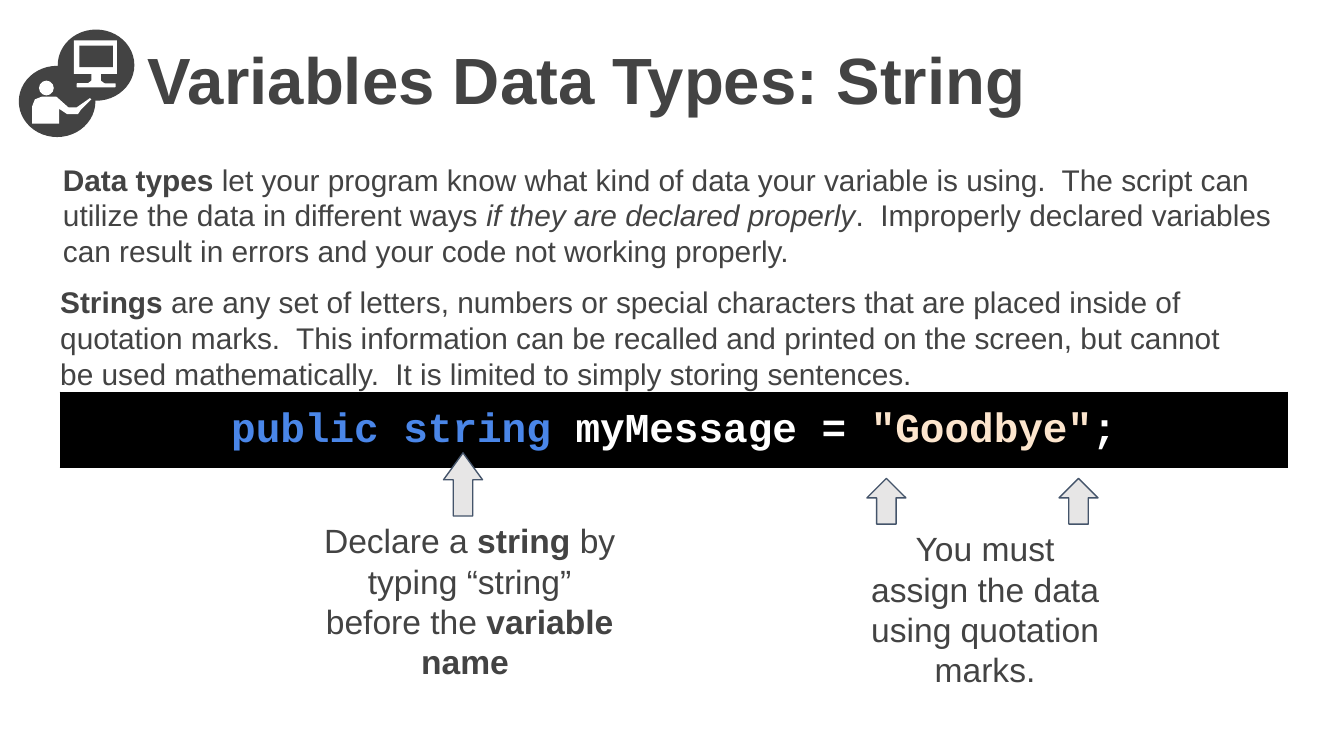
from dataclasses import dataclass

from lxml.etree import SubElement
from pptx import Presentation
from pptx.dml.color import RGBColor
from pptx.enum.shapes import MSO_SHAPE as Shape
from pptx.enum.text import MSO_ANCHOR as Anchor, PP_ALIGN as Align
from pptx.oxml.ns import qn
from pptx.util import Inches, Pt


@dataclass(frozen=True)
class Theme:
    ink: str = "434343"
    white: str = "FFFFFF"
    code_back: str = "000000"
    keyword: str = "4A86E8"
    literal: str = "FCE5CD"
    arrow_fill: str = "E7E6E6"
    arrow_line: str = "44546A"
    font: str = "Arial"
    code_font: str = "Courier New"
    title_size: int = 35
    body_size: int = 16
    code_size: int = 22
    callout_size: int = 18
    code_spacing: float = 1.15


THEME = Theme()
INSET = 0.1


def color(value):
    return RGBColor.from_string(value)


def place(box):
    return [Inches(length) for length in box]


def set_insets(owner, inset):
    owner.margin_left = owner.margin_right = Inches(inset)
    owner.margin_top = owner.margin_bottom = Inches(inset)


def write_runs(paragraph, parts, size, font=THEME.font):
    """Add (text, colour, bold, italic) parts as runs of one paragraph."""
    for text, ink, bold, italic in parts:
        run = paragraph.add_run()
        run.text = text
        run.font.name = font
        run.font.size = Pt(size)
        run.font.color.rgb = color(ink)
        run.font.bold = bold
        run.font.italic = italic


def plain(text):
    return text, THEME.ink, False, False


def bold(text):
    return text, THEME.ink, True, False


def italic(text):
    return text, THEME.ink, False, True


def paint(shape, fill, line=None):
    shape.shadow.inherit = False
    shape.fill.solid()
    shape.fill.fore_color.rgb = color(fill)
    if line:
        shape.line.color.rgb = color(line)
        shape.line.width = Pt(0.75)
    else:
        shape.line.fill.background()


def add_title(slide, box, text):
    title = slide.shapes.title
    title.left, title.top, title.width, title.height = place(box)
    frame = title.text_frame
    set_insets(frame, INSET)
    frame.vertical_anchor = Anchor.TOP
    frame.paragraphs[0].alignment = Align.LEFT
    write_runs(frame.paragraphs[0], [bold(text)], THEME.title_size)


def add_text(slide, box, parts, size, align=Align.LEFT):
    frame = slide.shapes.add_textbox(*place(box)).text_frame
    frame.word_wrap = True
    set_insets(frame, INSET)
    paragraph = frame.paragraphs[0]
    paragraph.alignment = align
    write_runs(paragraph, parts, size)


def add_teacher_icon(slide, left, top):
    """Two overlapping discs: a monitor above, a teacher with a pointer below."""
    def part(kind, x, y, width, height, fill=THEME.white):
        paint(slide.shapes.add_shape(kind, *place((left + x, top + y, width, height))), fill)

    def outline(points):
        corners = [(Inches(left + x), Inches(top + y)) for x, y in points]
        builder = slide.shapes.build_freeform(*corners[0])
        builder.add_line_segments(corners[1:], close=True)
        paint(builder.convert_to_shape(), THEME.white)

    for x, y in ((0.29, 0), (0, 0.27)):
        part(Shape.OVAL, x, y, 0.57, 0.53, THEME.ink)
    part(Shape.RECTANGLE, 0.41, 0.08, 0.32, 0.25)
    part(Shape.RECTANGLE, 0.45, 0.12, 0.25, 0.16, THEME.ink)
    outline([(0.54, 0.33), (0.61, 0.33), (0.61, 0.38), (0.65, 0.41), (0.50, 0.41), (0.54, 0.38)])
    part(Shape.ROUNDED_RECTANGLE, 0.43, 0.40, 0.29, 0.03)
    part(Shape.OVAL, 0.15, 0.38, 0.11, 0.11)
    outline([(0.10, 0.70), (0.10, 0.57), (0.12, 0.52), (0.17, 0.50), (0.28, 0.50),
             (0.37, 0.58), (0.43, 0.58), (0.53, 0.51), (0.54, 0.52), (0.46, 0.60),
             (0.44, 0.63), (0.36, 0.63), (0.30, 0.59), (0.30, 0.70)])


def add_code_bar(slide, box, parts):
    table_frame = slide.shapes.add_table(1, 1, *place(box))
    cell = table_frame.table.cell(0, 0)
    set_insets(cell, 0.07)
    properties = cell._tc.get_or_add_tcPr()
    for side in ("a:lnL", "a:lnR", "a:lnT", "a:lnB"):
        border = SubElement(properties, qn(side), w=str(Pt(1)))
        SubElement(SubElement(border, qn("a:solidFill")), qn("a:srgbClr"), val=THEME.code_back)
    cell.fill.solid()
    cell.fill.fore_color.rgb = color(THEME.code_back)
    paragraph = cell.text_frame.paragraphs[0]
    paragraph.alignment = Align.CENTER
    paragraph.line_spacing = THEME.code_spacing
    write_runs(paragraph, parts, THEME.code_size, THEME.code_font)


def add_callout(slide, box, parts, arrows, arrow_top, arrow_height, head):
    """Centred note with up arrows at the given offsets from its left edge."""
    for offset in arrows:
        arrow_box = (box[0] + offset, arrow_top, 0.29, arrow_height)
        arrow = slide.shapes.add_shape(Shape.UP_ARROW, *place(arrow_box))
        arrow.adjustments[0] = 0.5
        arrow.adjustments[1] = head
        paint(arrow, THEME.arrow_fill, THEME.arrow_line)
    add_text(slide, box, parts, THEME.callout_size, Align.CENTER)


def build_string_slide(slide):
    add_teacher_icon(slide, 0.14, 0.22)
    add_title(slide, (1, 0.19, 8.91, 0.87), "Variables Data Types: String")
    add_code_bar(slide, (0.45, 2.92, 9.13, 0.56), [
        ("public string ", THEME.keyword, True, False),
        ("myMessage = ", THEME.white, True, False),
        ('"Goodbye"', THEME.literal, True, False),
        (";", THEME.white, True, False),
    ])
    add_text(slide, (0.37, 1.1, 9.29, 1.01), [
        bold("Data types"),
        plain(" let your program know what kind of data your variable is using.  "
              "The script can utilize the data in different ways "),
        italic("if they are declared properly"),
        plain(".  Improperly declared variables can result in errors and your code "
              "not working properly."),
    ], THEME.body_size)
    add_text(slide, (0.35, 2.01, 9.13, 1.01), [
        bold("Strings"),
        plain(" are any set of letters, numbers or special characters that are placed "
              "inside of quotation marks.  This information can be recalled and printed "
              "on the screen, but cannot be used mathematically.  It is limited to "
              "simply storing sentences."),
    ], THEME.body_size)
    add_callout(slide, (2.28, 3.77, 2.43, 0.91), [
        plain("Declare a "), bold("string"),
        plain(" by typing “string” before the "), bold("variable name "),
    ], arrows=[1.02], arrow_top=3.37, arrow_height=0.47, head=0.69)
    add_callout(slide, (6.36, 3.83, 1.94, 0.91), [
        plain("You must assign the data using quotation marks."),
    ], arrows=[0.09, 1.52], arrow_top=3.56, arrow_height=0.34, head=0.5)


def main():
    deck = Presentation()
    deck.slide_width = Inches(10)
    deck.slide_height = deck.slide_width * 9 // 16
    title_only = deck.slide_layouts[5]
    build_string_slide(deck.slides.add_slide(title_only))
    deck.save("out.pptx")


if __name__ == "__main__":
    main()
